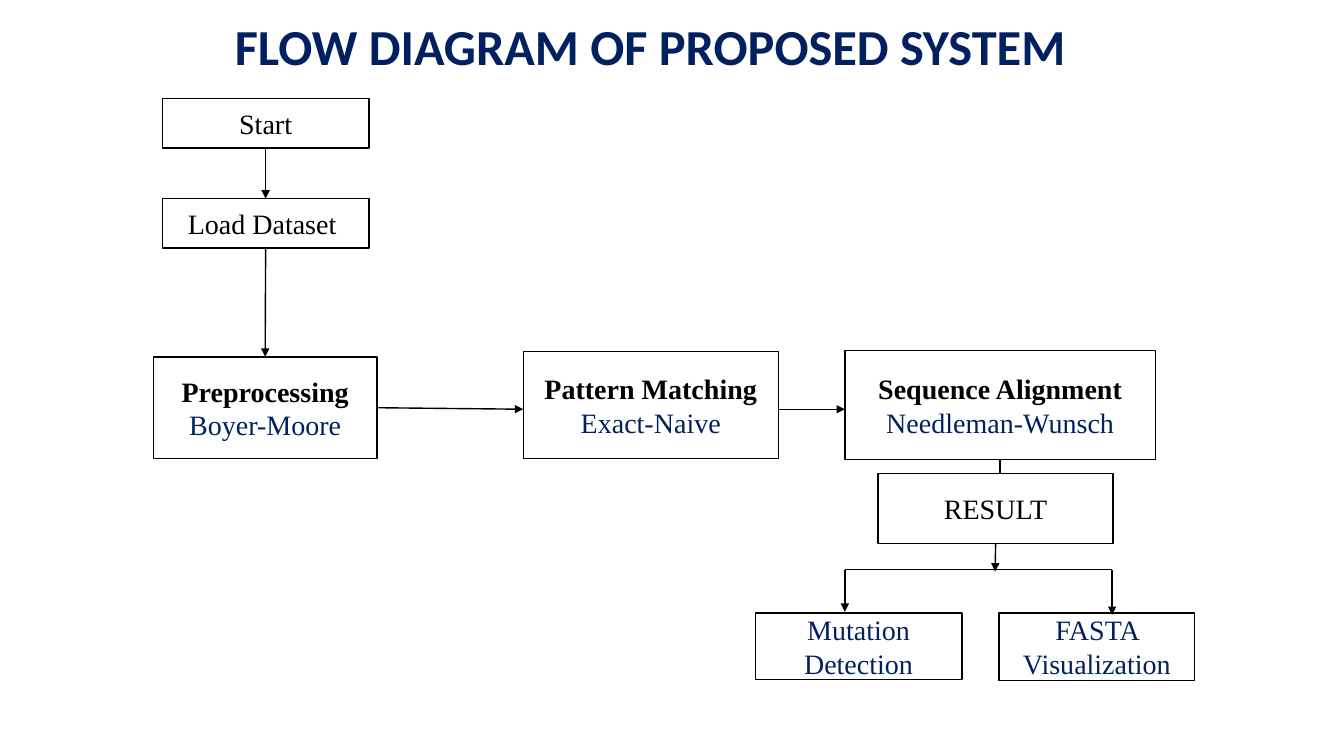
from dataclasses import dataclass

from pptx import Presentation
from pptx import util as u
from pptx.dml.color import RGBColor
from pptx.enum import shapes, text
from pptx.oxml import parse_xml
from pptx.oxml.ns import nsdecls

NAVY, BLACK, WHITE = "002060", "000000", "FFFFFF"
TOP, BOTTOM, RIGHT = 0, 2, 3


@dataclass(frozen=True)
class Step:
    left: float
    top: float
    width: float
    height: float
    label: str = ""
    method: str = ""


@dataclass(frozen=True)
class Link:
    start: tuple[float, float]
    end: tuple[float, float]
    source: tuple[str, int] | None = None
    target: tuple[str, int] | None = None
    arrow: bool = True


STEPS = {
    "start": Step(1.61, 0.98, 2.05, 0.49, "Start"),
    "load": Step(1.61, 1.97, 2.05, 0.49, "Load Dataset "),
    "preprocess": Step(1.52, 3.54, 2.22, 1.01, "Preprocessing", "Boyer-Moore"),
    "match": Step(5.19, 3.49, 2.53, 1.06, "Pattern Matching", "Exact-Naive"),
    "align": Step(8.38, 3.48, 3.08, 1.08, "Sequence Alignment", "Needleman-Wunsch"),
    "result": Step(8.71, 4.7, 2.33, 0.69, "RESULT"),
    "mutation": Step(7.49, 6.08, 2.05, 0.66, method="Mutation Detection"),
    "fasta": Step(9.91, 6.08, 1.94, 0.67, method="FASTA Visualization"),
}

LINKS = [
    Link((2.63, 1.47), (2.63, 1.97), ("start", BOTTOM), ("load", TOP)),
    Link((2.63, 2.46), (2.63, 3.54), ("load", BOTTOM), ("preprocess", TOP)),
    Link((3.74, 4.05), (5.19, 4.06), ("preprocess", RIGHT)),
    Link((7.72, 4.06), (8.38, 4.06)),
    Link((9.92, 4.56), (9.92, 4.7), ("align", BOTTOM), arrow=False),
    Link((9.87, 5.39), (9.87, 5.67), ("result", BOTTOM)),
    Link((8.38, 5.65), (11.03, 5.65), arrow=False),
    Link((8.38, 5.65), (8.38, 6.07)),
    Link((11.03, 5.65), (11.03, 6.1)),
]


def color(value: str) -> RGBColor:
    return RGBColor.from_string(value)


def write(para, content: str, *, font="Times New Roman", size=20, fill=BLACK,
          bold=False, align=text.PP_ALIGN.CENTER) -> None:
    para.alignment = align
    span = para.add_run()
    span.text = content
    span.font.name = font
    span.font.size = u.Pt(size)
    span.font.bold = bold
    span.font.color.rgb = color(fill)


def draw_title(page) -> None:
    box = page.shapes.add_textbox(u.Inches(2.23), u.Inches(0.18),
                                  u.Inches(8.45), u.Inches(0.62))
    frame = box.text_frame
    frame.word_wrap = True
    frame.margin_right = 0
    frame.vertical_anchor = text.MSO_ANCHOR.MIDDLE
    para = frame.paragraphs[0]
    para.line_spacing = 0.9
    write(para, "FLOW DIAGRAM OF PROPOSED SYSTEM", font="Calibri", size=36,
          fill=NAVY, bold=True, align=text.PP_ALIGN.LEFT)


def draw_step(page, step: Step):
    box = page.shapes.add_shape(
        shapes.MSO_SHAPE.RECTANGLE, u.Inches(step.left), u.Inches(step.top),
        u.Inches(step.width), u.Inches(step.height))
    box.shadow.inherit = False
    box.fill.solid()
    box.fill.fore_color.rgb = color(WHITE)
    box.line.color.rgb = color(BLACK)
    box.line.width = u.Pt(1)
    frame = box.text_frame
    frame.word_wrap = True
    frame.margin_top = frame.margin_bottom = 0
    frame.vertical_anchor = text.MSO_ANCHOR.MIDDLE
    para = frame.paragraphs[0]
    if step.label:
        write(para, step.label, bold=bool(step.method))
    if step.method:
        if step.label:
            para = frame.add_paragraph()
        write(para, step.method, fill=NAVY)
    return box


def draw_link(page, link: Link, boxes: dict) -> None:
    line = page.shapes.add_connector(
        shapes.MSO_CONNECTOR.STRAIGHT,
        *(u.Inches(value) for value in link.start + link.end))
    if link.source:
        name, side = link.source
        line.begin_connect(boxes[name], side)
    if link.target:
        name, side = link.target
        line.end_connect(boxes[name], side)
    line.line.color.rgb = color(BLACK)
    line.line.width = u.Pt(1)
    if link.arrow:
        line.line._get_or_add_ln().append(
            parse_xml(f'<a:tailEnd {nsdecls("a")} type="triangle"/>'))
    line._element.spPr.append(parse_xml(f'<a:effectLst {nsdecls("a")}/>'))


def main() -> None:
    deck = Presentation()
    deck.slide_width = u.Inches(13.33)
    deck.slide_height = u.Inches(7.5)
    page = deck.slides.add_slide(deck.slide_layouts[6])
    draw_title(page)
    boxes = {name: draw_step(page, step) for name, step in STEPS.items()}
    for link in LINKS:
        draw_link(page, link, boxes)
    deck.save("out.pptx")


if __name__ == "__main__":
    main()
